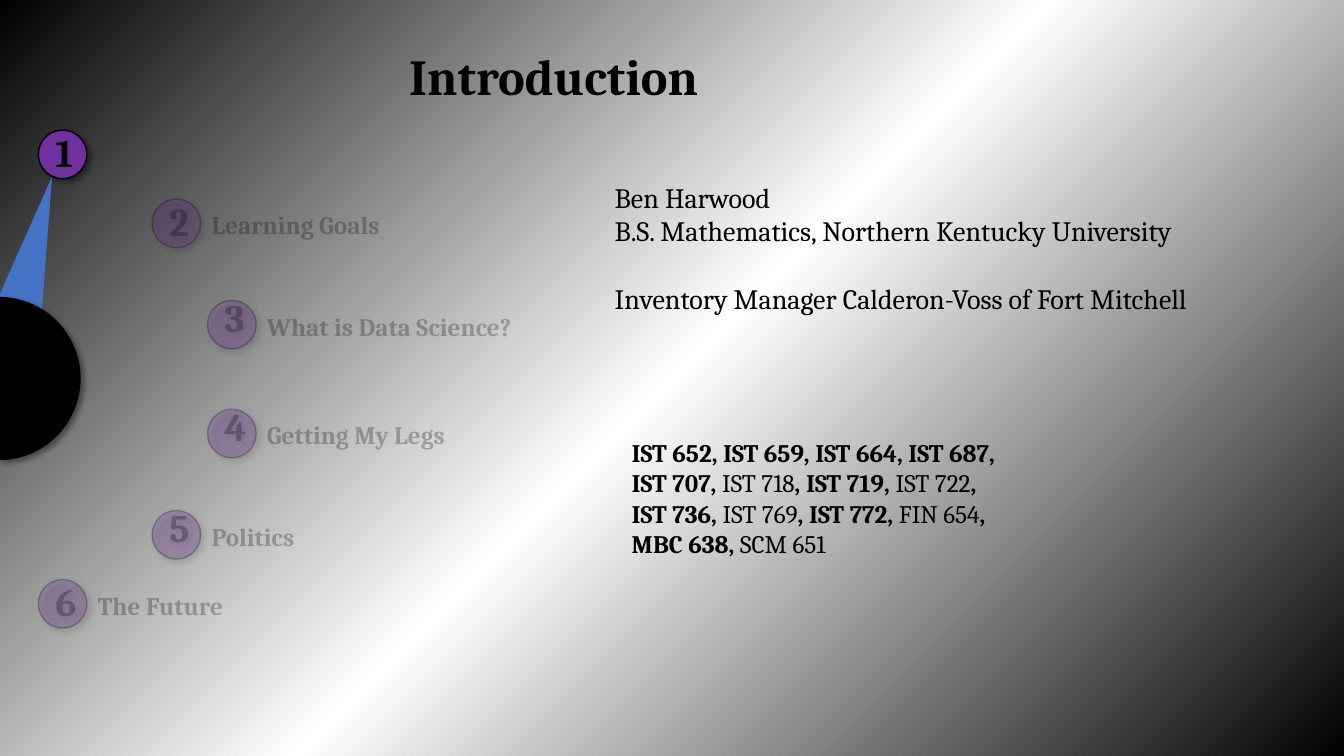
from copy import deepcopy
from math import cos, pi, sin

from lxml import etree
from pptx import Presentation
from pptx.dml.color import RGBColor
from pptx.enum.shapes import MSO_SHAPE
from pptx.enum.text import MSO_ANCHOR, MSO_AUTO_SIZE, PP_ALIGN
from pptx.oxml.ns import qn
from pptx.util import Pt

TRIANGLE, OVAL = MSO_SHAPE.ISOSCELES_TRIANGLE, MSO_SHAPE.OVAL
TOP, MIDDLE = MSO_ANCHOR.TOP, MSO_ANCHOR.MIDDLE
NO_AUTOFIT = MSO_AUTO_SIZE.NONE
LEFT, CENTER = PP_ALIGN.LEFT, PP_ALIGN.CENTER

FONT = "Cambria"
BLACK, WHITE, PURPLE, BLUE = "000000", "FFFFFF", "7030A0", "4472C4"
FADED = 25
BUTTON_SIZE = 34.6

TITLE_BOX = (285.1, 28.8, 262.1, 51.1)
DIAL_BOX = (-0.7, 270.4, 58.3)
POINTER_BOX = (-6.5, 123.8, 51.1, 148.3)
BIOGRAPHY_BOX = (432, 125.3, 473, 104.4)
COURSES_BOX = (444.2, 308.9, 342.7, 94.3)

ORBIT = [(27.4, 160.5), (108.7, 111.2), (148.3, 38.9)]
BUTTON_PLACES = ([(left, -offset) for left, offset in ORBIT]
                 + [(left, offset) for left, offset in reversed(ORBIT)])
AGENDA = [("", 7.2), ("Learning Goals", 7.2), ("What is Data Science?", 14.4),
          ("Getting My Legs", 14.4), ("Politics", 14.4), ("The Future", 7.2)]
BIOGRAPHY = [
    ("Ben Harwood", 0),
    ("B.S. Mathematics, Northern Kentucky University", 0),
    ("Inventory Manager Calderon-Voss of Fort Mitchell", 24),
]
COURSES = [
    ["IST 652, IST 659, IST 664, IST 687,"],
    ["IST 707, ", "IST 718", ", IST 719, ", "IST 722", ","],
    ["IST 736, ", "IST 769", ", IST 772, ", "FIN 654", ","],
    ["MBC 638, ", "SCM 651"],
]


def color(value):
    """Return the colour for a hex string."""
    return RGBColor.from_string(value)


def fade(shape, percent):
    """Give every colour of a shape the same opacity."""
    for element in shape.element.iter(qn("a:srgbClr")):
        etree.SubElement(element, qn("a:alpha"), val=str(percent * 1000))


def cast_shadow(shape):
    """Give a shape a soft shadow to the lower right."""
    shape.shadow.inherit = False
    effects = shape.element.spPr.find(qn("a:effectLst"))
    shadow = etree.SubElement(
        effects, qn("a:outerShdw"), blurRad=str(Pt(4)), dist=str(Pt(3)),
        dir="2700000", algn="tl", rotWithShape="0")
    tone = etree.SubElement(shadow, qn("a:srgbClr"), val=BLACK)
    etree.SubElement(tone, qn("a:alpha"), val="40000")


def format_paragraph(paragraph, size, bold=None, alignment=LEFT):
    """Set the font and alignment of a paragraph."""
    paragraph.alignment = alignment
    paragraph.font.name = FONT
    paragraph.font.size = Pt(size)
    paragraph.font.bold = bold
    paragraph.font.color.rgb = color(BLACK)


def add_text_box(slide, box, wrap):
    """Add an empty text box and return it."""
    shape = slide.shapes.add_textbox(*map(Pt, box))
    shape.text_frame.word_wrap = wrap
    return shape


def next_paragraph(frame, index):
    """Return the first paragraph of a frame or add another."""
    return frame.add_paragraph() if index else frame.paragraphs[0]


def paint_background(slide):
    """Fill the background with a diagonal black and white gradient."""
    fill = slide.background.fill
    fill.gradient()
    fill.gradient_angle = 135
    stops = next(slide.element.iter(qn("a:gsLst")))
    stops.append(deepcopy(stops[0]))
    for index, stop in enumerate(fill.gradient_stops):
        stop.position = index / 2
        stop.color.rgb = color(WHITE if index == 1 else BLACK)


def place_title(slide, box):
    """Write the title in its placeholder."""
    title = slide.shapes.title
    title.left, title.top, title.width, title.height = map(Pt, box)
    frame = title.text_frame
    frame.text = "Introduction"
    frame.auto_size = NO_AUTOFIT
    frame.vertical_anchor = TOP
    format_paragraph(frame.paragraphs[0], 36, True)


def add_dial(slide, dial_box, pointer_box):
    """Draw the half disc at the left edge and its pointer."""
    pointer = slide.shapes.add_shape(TRIANGLE, *map(Pt, pointer_box))
    pointer.rotation = 14.2
    pointer.fill.solid()
    pointer.fill.fore_color.rgb = color(BLUE)
    pointer.line.fill.background()
    pointer.shadow.inherit = False

    center_x, center_y, radius = dial_box
    angles = [pi * step / 60 - pi / 2 for step in range(61)]
    points = [(Pt(center_x + radius * cos(angle)), Pt(center_y + radius * sin(angle)))
              for angle in angles]
    builder = slide.shapes.build_freeform(*points[0])
    builder.add_line_segments(points[1:], close=True)
    disc = builder.convert_to_shape()
    disc.fill.solid()
    disc.fill.fore_color.rgb = color(BLACK)
    disc.line.fill.background()
    cast_shadow(disc)


def add_agenda_item(slide, left, top, number, label, bottom_inset):
    """Draw a numbered button and its label, faded unless it is current."""
    button = slide.shapes.add_shape(
        OVAL, Pt(left), Pt(top), Pt(BUTTON_SIZE), Pt(BUTTON_SIZE))
    button.fill.solid()
    button.fill.fore_color.rgb = color(PURPLE)
    button.line.color.rgb = color(BLACK)
    button.line.width = Pt(1)
    frame = button.text_frame
    frame.text = str(number)
    frame.vertical_anchor = MIDDLE
    frame.margin_bottom = Pt(bottom_inset)
    format_paragraph(frame.paragraphs[0], 28, True, CENTER)
    if label:
        fade(button, FADED)
        text_box = add_text_box(slide, (left + 35.3, top + 3.9, 274.3, 28.8), True)
        text_box.text_frame.text = label
        format_paragraph(text_box.text_frame.paragraphs[0], 18, True)
        fade(text_box, FADED)
    cast_shadow(button)


def add_agenda(slide, middle):
    """Place the agenda items around the dial's middle height."""
    for number, (place, item) in enumerate(zip(BUTTON_PLACES, AGENDA), 1):
        left, offset = place
        top = middle + offset - BUTTON_SIZE / 2
        add_agenda_item(slide, left, top, number, *item)


def add_biography(slide, box):
    """Write the speaker's name, degree and job."""
    frame = add_text_box(slide, box, False).text_frame
    for index, (line, gap) in enumerate(BIOGRAPHY):
        paragraph = next_paragraph(frame, index)
        paragraph.text = line
        paragraph.space_before = Pt(gap)
        format_paragraph(paragraph, 20)


def add_courses(slide, box):
    """Write the course codes, alternating bold and regular runs."""
    frame = add_text_box(slide, box, False).text_frame
    for index, pieces in enumerate(COURSES):
        paragraph = next_paragraph(frame, index)
        format_paragraph(paragraph, 18)
        for position, piece in enumerate(pieces):
            run = paragraph.add_run()
            run.text = piece
            run.font.bold = position % 2 == 0


def main():
    """Build the introduction slide and save it."""
    presentation = Presentation()
    presentation.slide_width, presentation.slide_height = Pt(960), Pt(540)
    slide = presentation.slides.add_slide(presentation.slide_layouts[5])
    paint_background(slide)
    place_title(slide, TITLE_BOX)
    add_dial(slide, DIAL_BOX, POINTER_BOX)
    add_agenda(slide, 270.8)
    add_biography(slide, BIOGRAPHY_BOX)
    add_courses(slide, COURSES_BOX)
    presentation.save("out.pptx")


if __name__ == "__main__":
    main()
